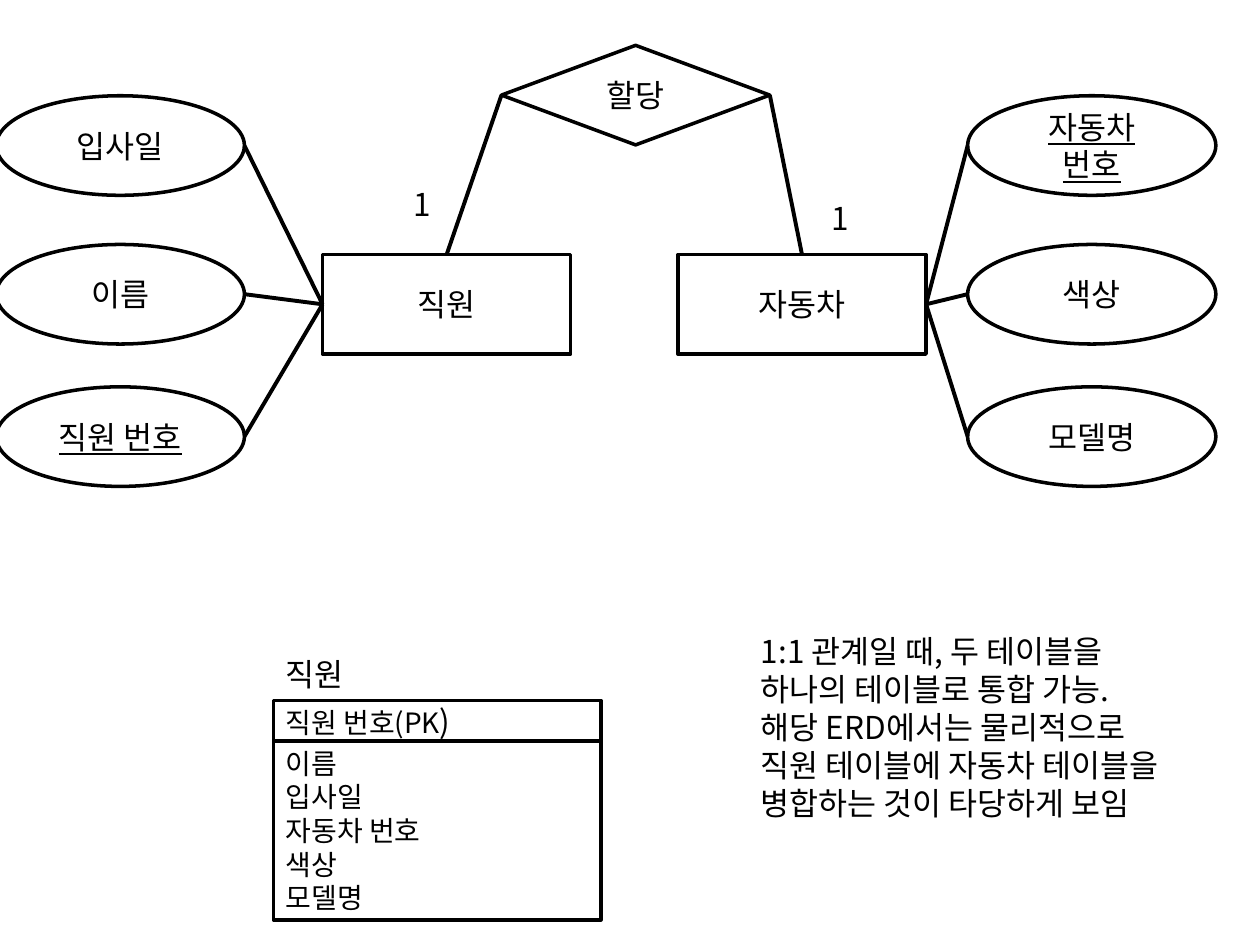
"""Build an entity-relationship slide: employees, cars and their merged table."""
from lxml import etree
from pptx import Presentation
from pptx import util as u
from pptx.dml.color import RGBColor
from pptx.enum import shapes, text
from pptx.oxml.ns import qn

FONT, INK = "Noto Sans CJK KR", "000000"
SLIDE_WIDTH, SLIDE_HEIGHT = 10, 7.5
NODE_WIDTH, NODE_HEIGHT = 1.97, 0.79
ENTITY_TOP = 2.02
ATTRIBUTE_TOPS = [0.76, 1.94, 3.07]

ENTITIES = [
    {"name": "직원", "left": 2.56, "attribute_left": -0.03, "key": 2,
     "attributes": [["입사일"], ["이름"], ["직원 번호"]]},
    {"name": "자동차", "left": 5.38, "attribute_left": 7.68, "key": 0,
     "attributes": [["자동차", "번호"], ["색상"], ["모델명"]]},
]
RELATION = ("할당", (3.98, 0.36, 2.13, NODE_HEIGHT))
CARDINALITIES = [("1", 3.18, 1.42), ("1", 6.5, 1.53)]

TABLE_NAME = "직원"
TABLE_LEFT, TABLE_TOP, TABLE_WIDTH = 2.17, 5.56, 2.6
KEY_HEIGHT, COLUMNS_HEIGHT = 0.32, 1.42
KEY_COLUMN = [("직원 번호(PK", 16), (")", 18)]
COLUMNS = ["이름", "입사일", "자동차 번호", "색상", "모델명"]
EXPLANATION = [
    "1:1 관계일 때, 두 테이블을",
    "하나의 테이블로 통합 가능.",
    "해당 ERD에서는 물리적으로",
    "직원 테이블에 자동차 테이블을",
    "병합하는 것이 타당하게 보임",
]


def color(value):
    return RGBColor.from_string(value)


def inches(values):
    return [u.Inches(value) for value in values]


def write(frame, lines, align, underline=False):
    """Fill a text frame with lines, each a list of (wording, size) runs."""
    for index, line in enumerate(lines):
        para = frame.add_paragraph() if index else frame.paragraphs[0]
        para.alignment = align
        for wording, size in line:
            span = para.add_run()
            span.text = wording
            span.font.name, span.font.size = FONT, u.Pt(size)
            span.font.color.rgb = color(INK)
            if underline:
                span.font.underline = True
            east_asian = etree.SubElement(span.font._element, qn("a:ea"))
            east_asian.set("typeface", FONT)


def plain(lines, size=18):
    return [[(line, size)] for line in lines]


def add_node(page, kind, area, lines, align=text.PP_ALIGN.CENTER, underline=False):
    node = page.shapes.add_shape(kind, *inches(area))
    node.shadow.inherit = False
    node.fill.background()
    node.line.color.rgb, node.line.width = color(INK), u.Pt(2)
    node.text_frame.word_wrap = True
    node.text_frame.vertical_anchor = text.MSO_ANCHOR.MIDDLE
    write(node.text_frame, lines, align, underline)


def add_label(page, area, lines, wrap=False):
    box = page.shapes.add_textbox(*inches(area))
    box.text_frame.word_wrap = wrap
    box.text_frame.auto_size = text.MSO_AUTO_SIZE.SHAPE_TO_FIT_TEXT
    write(box.text_frame, lines, text.PP_ALIGN.LEFT)


def add_link(page, start, end):
    link = page.shapes.add_connector(
        shapes.MSO_CONNECTOR.STRAIGHT, *inches(start + end))
    link.line.color.rgb, link.line.width = color(INK), u.Pt(2.25)
    etree.SubElement(link._element.spPr, qn("a:effectLst"))


def add_entity(page, entity):
    """Draw an entity and link its facing side to each attribute."""
    left, attribute_left = entity["left"], entity["attribute_left"]
    add_node(page, shapes.MSO_SHAPE.RECTANGLE,
             (left, ENTITY_TOP, NODE_WIDTH, NODE_HEIGHT), plain([entity["name"]]))
    on_left = attribute_left < left
    entity_side = left if on_left else left + NODE_WIDTH
    attribute_side = attribute_left + NODE_WIDTH if on_left else attribute_left
    for index, (top, lines) in enumerate(zip(ATTRIBUTE_TOPS, entity["attributes"])):
        add_node(page, shapes.MSO_SHAPE.OVAL,
                 (attribute_left, top, NODE_WIDTH, NODE_HEIGHT),
                 plain(lines), underline=index == entity["key"])
        add_link(page, (attribute_side, top + NODE_HEIGHT / 2),
                 (entity_side, ENTITY_TOP + NODE_HEIGHT / 2))


def add_relation(page):
    name, area = RELATION
    left, top, width, height = area
    add_node(page, shapes.MSO_SHAPE.DIAMOND, area, plain([name]))
    for corner, entity in zip((left, left + width), ENTITIES):
        add_link(page, (corner, top + height / 2),
                 (entity["left"] + NODE_WIDTH / 2, ENTITY_TOP))
    for wording, label_left, label_top in CARDINALITIES:
        add_label(page, (label_left, label_top, 0.34, 0.4), plain([wording]))


def add_merged_table(page):
    add_label(page, (TABLE_LEFT, TABLE_TOP - 0.41, 0.71, 0.4), plain([TABLE_NAME]))
    top = TABLE_TOP
    for height, lines in ((KEY_HEIGHT, [KEY_COLUMN]),
                          (COLUMNS_HEIGHT, plain(COLUMNS, 16))):
        add_node(page, shapes.MSO_SHAPE.RECTANGLE,
                 (TABLE_LEFT, top, TABLE_WIDTH, height), lines, text.PP_ALIGN.LEFT)
        top += height


def main():
    deck = Presentation()
    deck.slide_width, deck.slide_height = inches((SLIDE_WIDTH, SLIDE_HEIGHT))
    page = deck.slides.add_slide(deck.slide_layouts[6])
    for entity in ENTITIES:
        add_entity(page, entity)
    add_relation(page)
    add_merged_table(page)
    add_label(page, (5.94, 4.97, 3.85, 1.62), plain(EXPLANATION), wrap=True)
    deck.save("out.pptx")


if __name__ == "__main__":
    main()
